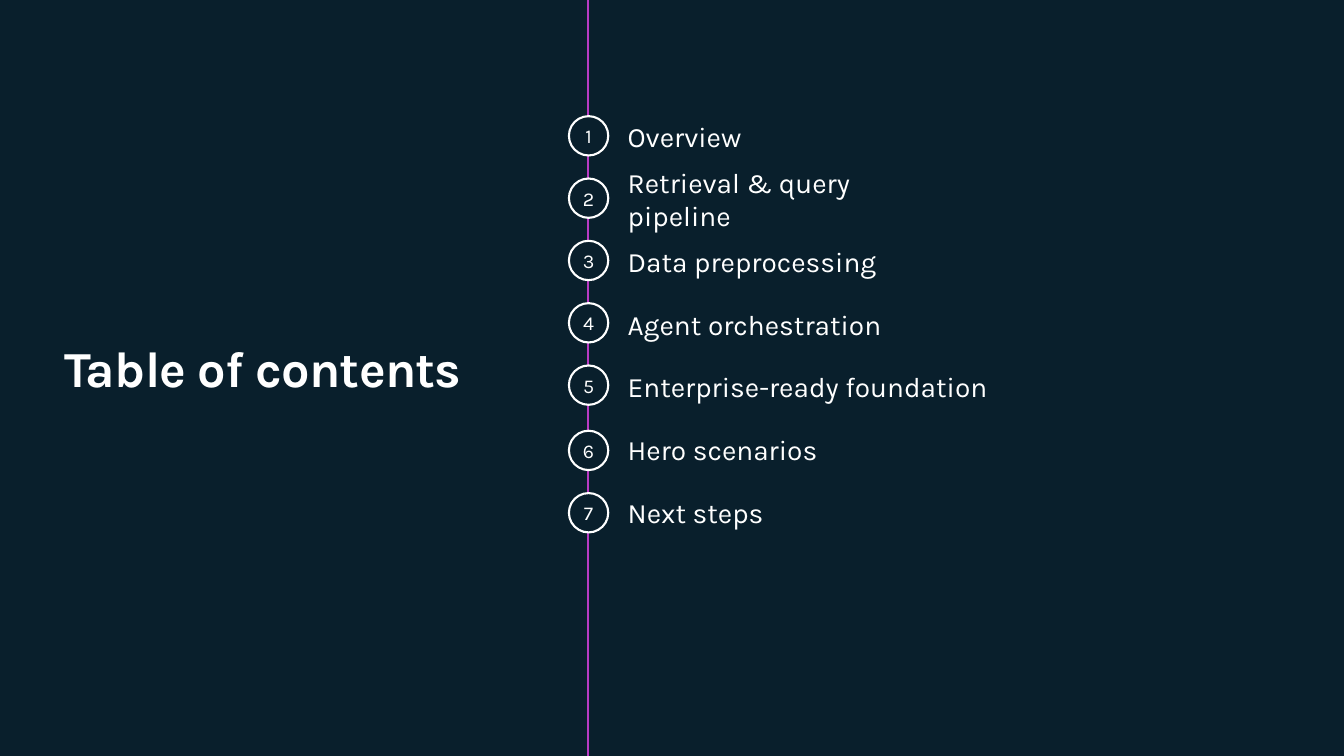
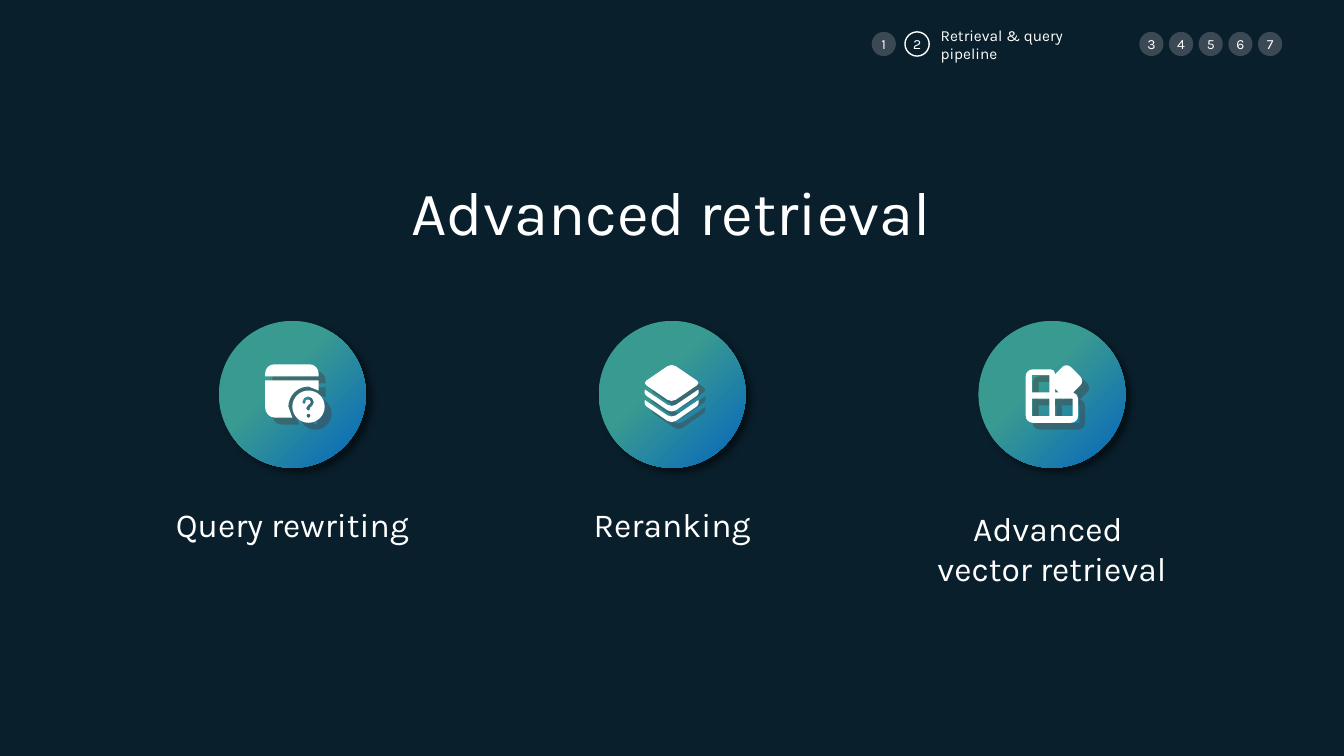
"""Build a table of contents slide and an advanced retrieval slide on a 160 by 90 grid."""
import math

import pptx
import pptx.dml.color
import pptx.enum.dml
import pptx.enum.shapes
import pptx.enum.text
import pptx.oxml
import pptx.oxml.ns
import pptx.util

COLORS = {
    "background": "091F2C",
    "text": "FFFFFF",
    "timeline": "B83BC4",
    "inactive": "3A4953",
    "blue": "0A6BBA",
    "teal": "399A91",
    "icon_shadow": "454142",
    "disc_shadow": "000000",
}
RGB = {name: pptx.dml.color.RGBColor.from_string(value) for name, value in COLORS.items()}
FONT = {"name": "Karla", "bold": False}
FRAME = {
    "margin_left": 0, "margin_right": 0, "margin_top": 0, "margin_bottom": 0,
    "word_wrap": True,
    "auto_size": pptx.enum.text.MSO_AUTO_SIZE.NONE,
    "vertical_anchor": pptx.enum.text.MSO_ANCHOR.MIDDLE,
}
LEFT = pptx.enum.text.PP_ALIGN.LEFT
CENTER = pptx.enum.text.PP_ALIGN.CENTER
OVAL = pptx.enum.shapes.MSO_SHAPE.OVAL
DRAWING = pptx.oxml.ns.nsdecls("a")

presentation = pptx.Presentation()
presentation.slide_width = pptx.util.Inches(13.33)
presentation.slide_height = pptx.util.Inches(7.5)
CELL = presentation.slide_height / 90
ICON_UNIT = CELL * 0.12


def write(shape, box, text, size, align=CENTER, bold=False):
    """Place a shape on the grid and fill it with formatted text."""
    shape.left, shape.top, shape.width, shape.height = [round(cells * CELL) for cells in box]
    frame = shape.text_frame
    for name, value in FRAME.items():
        setattr(frame, name, value)
    paragraph = frame.paragraphs[0]
    paragraph.text = text
    paragraph.alignment = align
    for run in paragraph.runs:
        for name, value in {**FONT, "bold": bold, "size": pptx.util.Pt(size)}.items():
            setattr(run.font, name, value)
        run.font.color.rgb = RGB["text"]


def add_badge(shapes, left, top, diameter, number, size, fill, line_width):
    """Add a numbered circle, outlined when it has a line width."""
    badge = shapes.add_shape(OVAL, 0, 0, 0, 0)
    badge.shadow.inherit = False
    badge.fill.solid()
    badge.fill.fore_color.rgb = RGB[fill]
    if line_width:
        badge.line.color.rgb = RGB["text"]
        badge.line.width = pptx.util.Pt(line_width)
    else:
        badge.line.fill.background()
    write(badge, (left, top, diameter, diameter), str(number), size)


background = presentation.slide_master.background.fill
background.solid()
background.fore_color.rgb = RGB["background"]
title_only = presentation.slide_layouts[5]

contents = presentation.slides.add_slide(title_only)
write(contents.shapes.title, (7.7, 40, 50.9, 7.4), "Table of contents", 36, LEFT, True)
for run in contents.shapes.title.text_frame.paragraphs[0].runs:
    run._r.get_or_add_rPr().set("spc", "-50")

timeline_x = round(70 * CELL)
timeline = contents.shapes.add_connector(
    pptx.enum.shapes.MSO_CONNECTOR.STRAIGHT, timeline_x, 0, timeline_x, presentation.slide_height)
timeline.line.color.rgb = RGB["timeline"]
timeline.line.width = pptx.util.Pt(1.5)
timeline._element.spPr.append(pptx.oxml.parse_xml(f"<a:effectLst {DRAWING}/>"))

SECTIONS = [
    ("Overview", 39.3),
    ("Retrieval & query pipeline", 39.3),
    ("Data preprocessing", 39.3),
    ("Agent orchestration", 39.3),
    ("Enterprise-ready foundation", 43.7),
    ("Hero scenarios", 39.3),
    ("Next steps", 43.7),
]
for index, (section, label_width) in enumerate(SECTIONS):
    badge_top = 13.83 + 7.42 * index + (0.35 if index > 4 else 0)
    add_badge(contents.shapes, 67.71, badge_top, 4.68, index + 1, 14, "background", 1.5)
    label = contents.shapes.add_textbox(0, 0, 0, 0)
    write(label, (74.7, 14.15 + 7.46 * index, label_width, 4.1), section, 20, LEFT)

retrieval = presentation.slides.add_slide(title_only)
write(retrieval.shapes.title, (27.55, 20.7, 104.8, 8.9), "Advanced retrieval", 44)

navigation = retrieval.shapes.add_group_shape().shapes
ACTIVE = 2
for number in range(1, len(SECTIONS) + 1):
    left = 103.75 + 3.96 * (number - 1) if number <= ACTIVE else 135.6 + 3.53 * (number - ACTIVE - 1)
    active = number == ACTIVE
    add_badge(navigation, left, 3.8, 2.88, number, 10,
              "background" if active else "inactive", 1 if active else 0)
active_label = navigation.add_textbox(0, 0, 0, 0)
write(active_label, (111.95, 4.12, 21.5, 2.3), SECTIONS[ACTIVE - 1][0], 11, LEFT)

WINDOW_QUESTION = [
    [(-26, -29, 9), (27, -29, 9), (27, -17, 0), (-26, -17, 0)],
    [(-26, -13, 0), (27, -13, 0), (27, -3, 0), (17, -7, 0), (-3, -7, 20),
     (-3, 13, 0), (1, 24, 0), (-26, 24, 10)],
    [(1, -3, 16), (33, -3, 16), (33, 29, 16), (1, 29, 16)],
    [(15, 20, 2), (19, 20, 2), (19, 24, 2), (15, 24, 2)],
    [(11, 10, 1), (11, 3, 5), (22, 3, 5), (22, 12, 3), (18.5, 14, 0), (18.5, 17, 1.5),
     (15, 17, 1.5), (15, 12, 2), (19, 10, 1), (19, 6, 2), (14, 6, 2), (14, 10, 1)],
]
STACK = [[(0.5, -30, 5), (29, -10.5, 4), (0.5, 9, 5), (-28, -10.5, 4)]] + [
    [(-26, -4 + drop, 0), (0.5, 14 + drop, 5), (27, -4 + drop, 0),
     (28, 0.5 + drop, 3), (0.5, 19.5 + drop, 5), (-27, 0.5 + drop, 3)]
    for drop in (0, 10.5)
]
TILES = [
    [(-25, -24, 7), (4, -24, 4), (4, -19, 0), (15.5, -30.5, 6), (33.5, -12.5, 6),
     (22, -1, 0), (27, 0, 5), (27, 29, 7), (-25, 29, 7)],
    [(4, -5, 0), (8, -1, 0), (4, -1, 0)],
] + [
    [(x, y, 0), (x + 17.5, y, 0), (x + 17.5, y + 17.5, 0), (x, y + 17.5, 0)]
    for x, y in ((-19, -18.5), (-19, 5), (4, 5))
]
TOPICS = [
    ("Query rewriting", WINDOW_QUESTION),
    ("Reranking", STACK),
    ("Advanced \vvector retrieval", TILES),
]
DISC, LABEL_WIDTH, LINE_HEIGHT = 17.5, 37.2, 4.85
for index, (topic, icon_outlines) in enumerate(TOPICS):
    center_x, center_y = 34.8 + 45.2 * index, 46.95
    lines = topic.count("\v") + 1
    label = retrieval.shapes.add_textbox(0, 0, 0, 0)
    write(label, (center_x - LABEL_WIDTH / 2, 60 + 0.4 * (lines - 1), LABEL_WIDTH, LINE_HEIGHT * lines),
          topic, 24)

    disc = retrieval.shapes.add_shape(
        OVAL, *[round(cells * CELL) for cells in (center_x - DISC / 2, center_y - DISC / 2, DISC, DISC)])
    disc.fill.gradient()
    for stop, (color, position) in zip(disc.fill.gradient_stops, (("blue", 0.05), ("teal", 0.6))):
        stop.color.rgb = RGB[color]
        stop.position = position
    gradient = disc._element.spPr.find(pptx.oxml.ns.qn("a:gradFill"))
    gradient.replace(gradient.find(pptx.oxml.ns.qn("a:lin")), pptx.oxml.parse_xml(
        f'<a:path {DRAWING} path="circle"><a:fillToRect l="100000" t="100000"/></a:path>'))

    builder = None
    curve_starts = []
    segment_count = 0
    for outline in icon_outlines:
        points = []
        for corner, (x, y, radius) in enumerate(outline):
            offsets = (1, 0.45) if radius else (0,)
            arms = []
            for neighbor in (outline[corner - 1], outline[(corner + 1) % len(outline)]):
                reach = radius / math.dist(neighbor[:2], (x, y))
                arms.append((reach * (neighbor[0] - x), reach * (neighbor[1] - y)))
            if radius:
                curve_starts.append(segment_count + len(points))
            handles = [(arms[0], share) for share in offsets]
            handles += [(arms[1], share) for share in offsets[::-1]] if radius else []
            points += [((x + dx * share) * ICON_UNIT, (y + dy * share) * ICON_UNIT)
                       for (dx, dy), share in handles]
        if builder is None:
            builder = retrieval.shapes.build_freeform(*points[0])
        else:
            builder.move_to(*points[0])
        builder.add_line_segments(points[1:], close=True)
        segment_count += len(points) - 1
    icon = builder.convert_to_shape(round((center_x - 0.12) * CELL), round((center_y - 0.1) * CELL))
    segments = list(icon._element.spPr.iter(pptx.oxml.ns.qn("a:lnTo")))
    for start in curve_starts:
        curve = pptx.oxml.parse_xml(f"<a:cubicBezTo {DRAWING}/>")
        segments[start].addprevious(curve)
        for segment in segments[start:start + 3]:
            curve.append(segment[0])
            segment.getparent().remove(segment)
    icon.fill.solid()
    icon.fill.fore_color.rgb = RGB["text"]

    for shape, color, opacity, angle, blur, distance in (
            (disc, "disc_shadow", 50, 40, 5, 5), (icon, "icon_shadow", 45, 45, 0, 7)):
        shape.line.fill.background()
        shape.shadow.inherit = False
        shape._element.spPr.find(pptx.oxml.ns.qn("a:effectLst")).append(pptx.oxml.parse_xml(
            f'<a:outerShdw {DRAWING} blurRad="{pptx.util.Pt(blur)}" dist="{pptx.util.Pt(distance)}" '
            f'dir="{angle * 60000}" algn="tl" rotWithShape="0"><a:srgbClr val="{COLORS[color]}">'
            f'<a:alpha val="{opacity * 1000}"/></a:srgbClr></a:outerShdw>'))

presentation.save("out.pptx")
